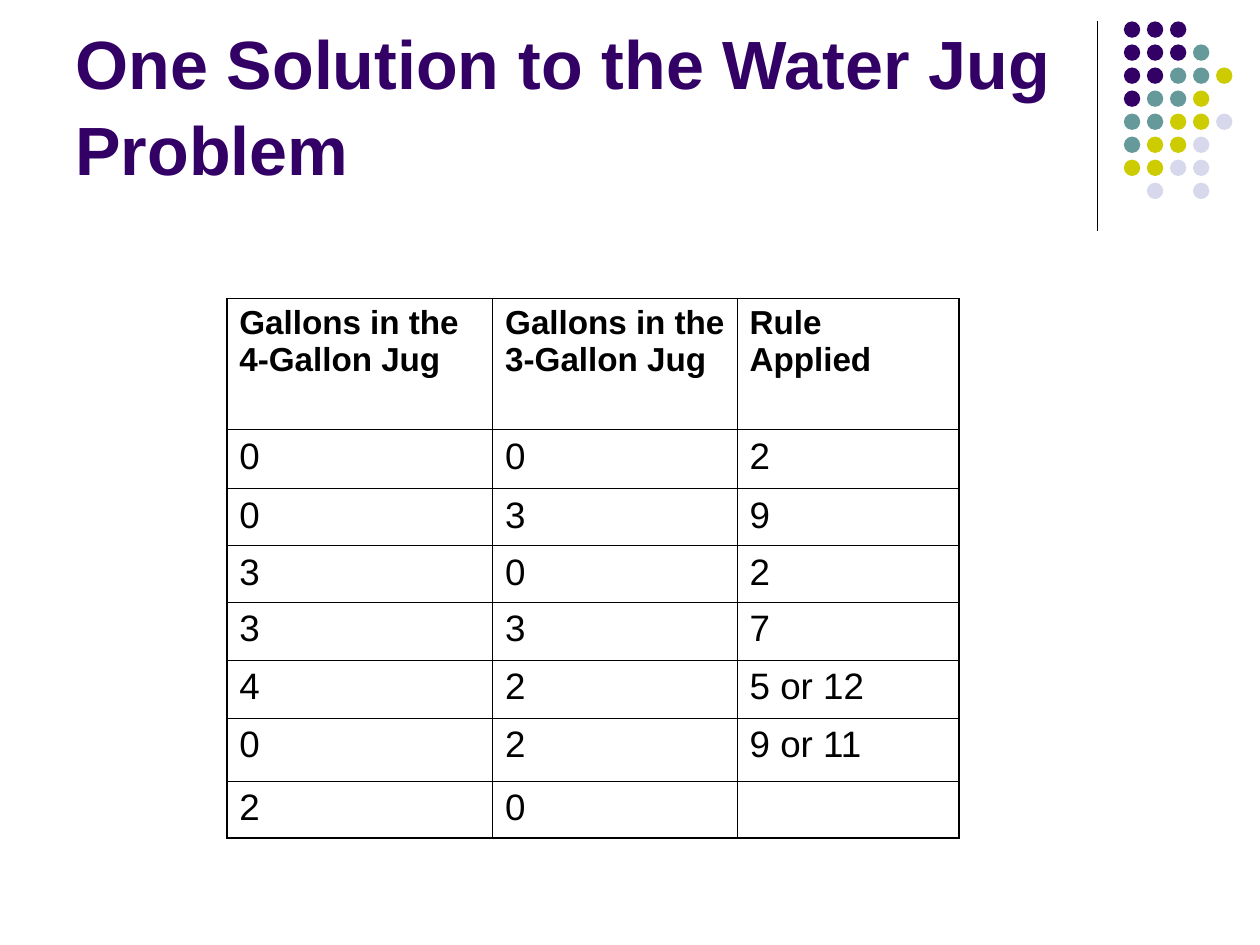
"""Build the water jug solution slide."""
from dataclasses import dataclass

from lxml import etree
from pptx import Presentation
from pptx.dml.color import RGBColor
from pptx.enum.shapes import MSO_CONNECTOR, MSO_SHAPE
from pptx.enum.text import MSO_ANCHOR
from pptx.oxml.ns import qn
from pptx.util import Emu, Inches, Pt

STRAIGHT = MSO_CONNECTOR.STRAIGHT
OVAL = MSO_SHAPE.OVAL
BOTTOM = MSO_ANCHOR.BOTTOM

WIDTH, HEIGHT = Inches(10), Inches(7.5)
FONT = "Arial"
COLORS = {
    "purple": "330066",
    "teal": "669999",
    "olive": "CCCC00",
    "lavender": "D8D8EC",
    "black": "000000",
}
THIN, THICK = Pt(0.45), Pt(1.08)

DOT_COLORS = {"P": "purple", "T": "teal", "O": "olive", "L": "lavender"}
DOT_ROWS = ["PPP", "PPPT", "PPTTO", "PTTO", "TTOOL", "TOOL", "OOLL", ".L.L"]

COLUMN_WIDTHS = [2.11, 1.94, 1.76]
ROW_HEIGHTS = [1.04, 0.47, 0.45, 0.45, 0.46, 0.46, 0.5, 0.45]
STEPS = [
    ("Gallons in the 4-Gallon Jug", "Gallons in the 3-Gallon Jug", "Rule Applied"),
    ("0", "0", "2"),
    ("0", "3", "9"),
    ("3", "0", "2"),
    ("3", "3", "7"),
    ("4", "2", "5 or 12"),
    ("0", "2", "9 or 11"),
    ("2", "0", ""),
]


@dataclass(frozen=True)
class DotGrid:
    left: float
    top: float
    pitch: float
    diameter: float


@dataclass(frozen=True)
class TextStyle:
    size: float
    color: str
    bold: bool = False


TITLE_STYLE = TextStyle(39, "purple", True)
HEADER_STYLE = TextStyle(19, "black", True)
STEP_STYLE = TextStyle(21, "black")
DOTS = DotGrid(left=8.92, top=0.17, pitch=1.28 / 7, diameter=0.13)


def rgb(name: str) -> RGBColor:
    return RGBColor.from_string(COLORS[name])


def add_run(paragraph, text: str, style: TextStyle) -> None:
    run = paragraph.add_run()
    run.text = text
    run.font.name = FONT
    run.font.size = Pt(style.size)
    run.font.bold = style.bold
    run.font.color.rgb = rgb(style.color)


def add_divider(slide) -> None:
    x = Inches(8.71)
    divider = slide.shapes.add_connector(STRAIGHT, x, Inches(0.17), x, Inches(1.83))
    divider.line.color.rgb = rgb("black")
    divider.line.width = Pt(0.75)
    etree.SubElement(divider._element.spPr, qn("a:effectLst"))


def add_dots(slide, grid: DotGrid) -> None:
    diameter = Inches(grid.diameter)
    for row, codes in enumerate(DOT_ROWS):
        for column, code in enumerate(codes):
            if code not in DOT_COLORS:
                continue
            left = Inches(grid.left + column * grid.pitch)
            top = Inches(grid.top + row * grid.pitch)
            dot = slide.shapes.add_shape(OVAL, left, top, diameter, diameter)
            dot.shadow.inherit = False
            dot.fill.solid()
            dot.fill.fore_color.rgb = rgb(DOT_COLORS[code])
            dot.line.fill.background()


def add_title(slide) -> None:
    box = slide.shapes.add_textbox(
        Emu(int(WIDTH * 0.05)), Inches(0.13), Inches(8.25), Inches(1.42)
    )
    frame = box.text_frame
    frame.word_wrap = True
    frame.vertical_anchor = BOTTOM
    paragraph = frame.paragraphs[0]
    paragraph.line_spacing = 1.05
    add_run(paragraph, "One Solution to the Water Jug Problem", TITLE_STYLE)


def set_borders(cell, outer_edges: dict[str, bool]) -> None:
    properties = cell._tc.get_or_add_tcPr()
    for edge, is_outer in outer_edges.items():
        width = THICK if is_outer else THIN
        line = etree.SubElement(properties, qn(f"a:ln{edge}"), w=str(int(width)))
        fill = etree.SubElement(line, qn("a:solidFill"))
        etree.SubElement(fill, qn("a:srgbClr"), val=COLORS["black"])


def add_steps_table(slide) -> None:
    row_count, column_count = len(ROW_HEIGHTS), len(COLUMN_WIDTHS)
    table = slide.shapes.add_table(
        row_count, column_count, Inches(1.8), Inches(2.37),
        Inches(sum(COLUMN_WIDTHS)), Inches(sum(ROW_HEIGHTS)),
    ).table
    table.first_row = False
    table.horz_banding = False
    for column, width in zip(table.columns, COLUMN_WIDTHS):
        column.width = Inches(width)
    for row, height in zip(table.rows, ROW_HEIGHTS):
        row.height = Inches(height)
    for row, texts in enumerate(STEPS):
        style = STEP_STYLE if row else HEADER_STYLE
        for column, text in enumerate(texts):
            cell = table.cell(row, column)
            cell.margin_right = Inches(0.08)
            set_borders(cell, {
                "L": column == 0,
                "R": column == column_count - 1,
                "T": row == 0,
                "B": row == row_count - 1,
            })
            cell.fill.background()
            if text:
                add_run(cell.text_frame.paragraphs[0], text, style)


def main() -> None:
    presentation = Presentation()
    presentation.slide_width, presentation.slide_height = WIDTH, HEIGHT
    slide = presentation.slides.add_slide(presentation.slide_layouts[6])
    add_divider(slide)
    add_dots(slide, DOTS)
    add_title(slide)
    add_steps_table(slide)
    presentation.save("out.pptx")


if __name__ == "__main__":
    main()
